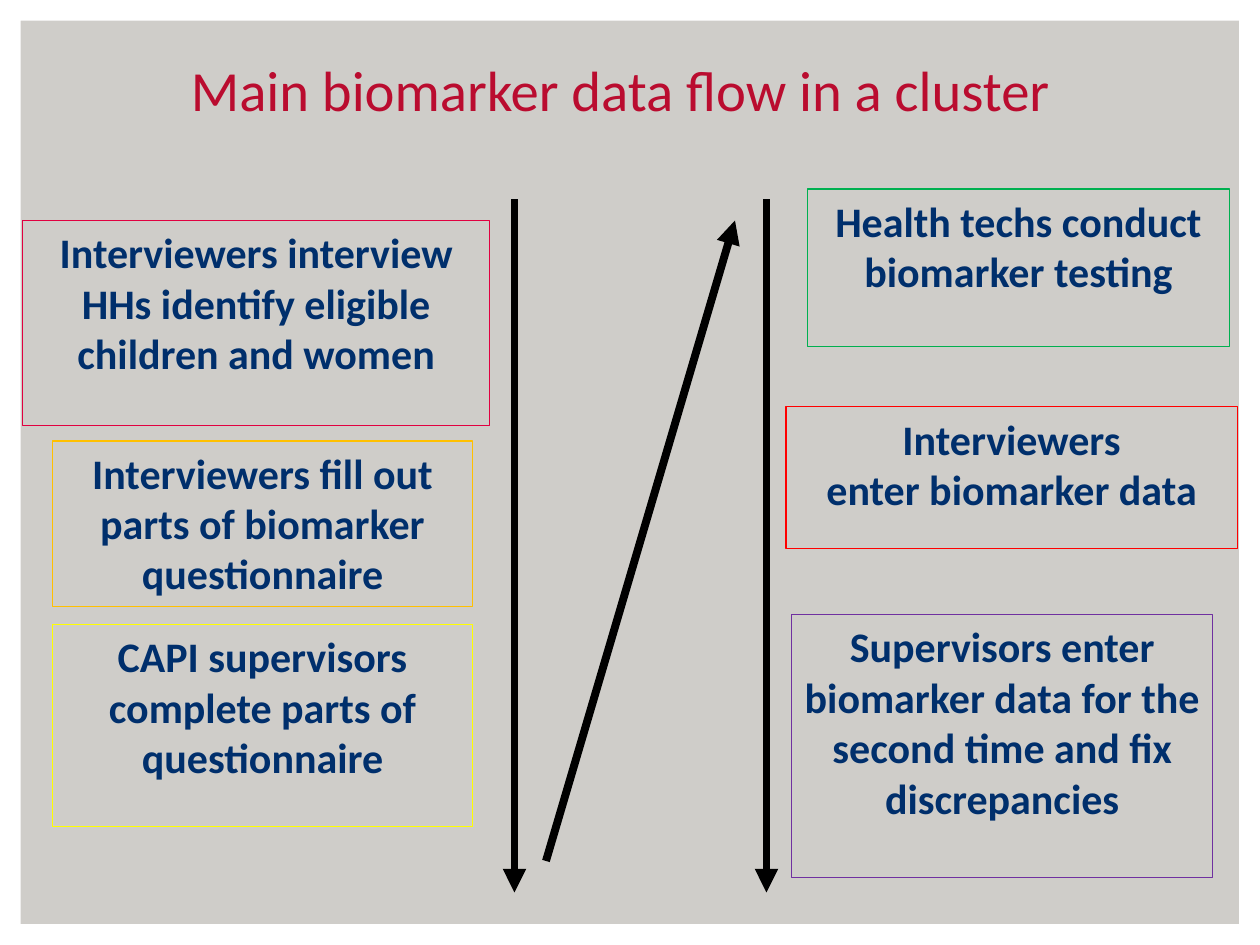
from dataclasses import dataclass

import pptx
import pptx.dml.color
import pptx.enum.shapes
import pptx.enum.text
import pptx.oxml.ns
import pptx.util
from lxml import etree

CELL = pptx.util.Inches(1 / 12)
COLUMNS, ROWS = 120, 90
FONT = "Calibri"
BACKGROUND, WHITE, BLACK = "CFCDC9", "FFFFFF", "000000"
RED, NAVY = "BA0C2F", "002F6C"


@dataclass
class Area:
    """A rectangle in grid columns and rows."""
    left: float
    top: float
    width: float
    height: float

    def lengths(self) -> list[int]:
        return [grid(n) for n in (self.left, self.top, self.width, self.height)]


@dataclass
class Step:
    text: str
    area: Area
    outline: str


@dataclass
class Arrow:
    """Start and end points as (column, row)."""
    start: tuple[float, float]
    end: tuple[float, float]


TITLE = "Main biomarker data flow in a cluster"
TITLE_AREA = Area(17, 4.3, 114, 8)

STEPS = [
    Step("Interviewers interview HHs identify eligible children and women",
         Area(2.15, 21, 44.5, 19.5), "E10040"),
    Step("Interviewers fill out parts of biomarker questionnaire",
         Area(5, 42, 40, 15.75), "FFC000"),
    Step("CAPI supervisors complete parts of questionnaire",
         Area(5, 59.5, 40, 19.25), "FFFF00"),
    Step("Health techs conduct biomarker testing",
         Area(76.9, 18, 40.2, 15), "00B050"),
    Step("Interviewers\nenter biomarker data",
         Area(74.85, 38.75, 43, 13.5), "FF0000"),
    Step("Supervisors enter biomarker data for the second time and fix discrepancies",
         Area(75.4, 58.55, 40.1, 25), "7030A0"),
]

ARROWS = [
    Arrow((49, 19), (49, 85)),
    Arrow((73, 19), (73, 85)),
    Arrow((52, 82), (70, 21)),
]


def grid(count: float) -> int:
    return round(count * CELL)


def color(value: str) -> pptx.dml.color.RGBColor:
    return pptx.dml.color.RGBColor.from_string(value)


def format_text(frame, size: float, ink: str, bold: bool, align) -> None:
    frame.word_wrap = True
    for para in frame.paragraphs:
        para.alignment = align
        for run in para.runs:
            run.font.name = FONT
            run.font.size = pptx.util.Pt(size)
            run.font.bold = bold
            run.font.color.rgb = color(ink)


def add_border(page) -> None:
    border = page.shapes.add_shape(
        pptx.enum.shapes.MSO_SHAPE.FRAME, *Area(0, 0, COLUMNS, ROWS).lengths())
    border.adjustments[0] = 0.022
    border.shadow.inherit = False
    border.fill.solid()
    border.fill.fore_color.rgb = color(WHITE)
    border.line.fill.background()


def add_title(page) -> None:
    box = page.shapes.add_textbox(*TITLE_AREA.lengths())
    frame = box.text_frame
    frame.text = TITLE
    frame.vertical_anchor = pptx.enum.text.MSO_ANCHOR.BOTTOM
    format_text(frame, 32.4, RED, False, pptx.enum.text.PP_ALIGN.LEFT)


def add_step(page, step: Step) -> None:
    box = page.shapes.add_shape(
        pptx.enum.shapes.MSO_SHAPE.RECTANGLE, *step.area.lengths())
    box.shadow.inherit = False
    box.fill.background()
    box.line.color.rgb = color(step.outline)
    box.line.width = pptx.util.Pt(0.75)
    frame = box.text_frame
    frame.text = step.text
    frame.vertical_anchor = pptx.enum.text.MSO_ANCHOR.TOP
    format_text(frame, 24, NAVY, True, pptx.enum.text.PP_ALIGN.CENTER)


def add_arrow(page, arrow: Arrow) -> None:
    connector = page.shapes.add_connector(
        pptx.enum.shapes.MSO_CONNECTOR.STRAIGHT,
        *(grid(n) for n in arrow.start + arrow.end))
    connector.line.color.rgb = color(BLACK)
    connector.line.width = pptx.util.Pt(4.5)
    qn = pptx.oxml.ns.qn
    etree.SubElement(connector.line._get_or_add_ln(), qn("a:tailEnd"), type="triangle")
    etree.SubElement(connector._element.spPr, qn("a:effectLst"))


def main() -> None:
    deck = pptx.Presentation()
    deck.slide_width, deck.slide_height = grid(COLUMNS), grid(ROWS)
    page = deck.slides.add_slide(deck.slide_layouts[6])
    page.background.fill.solid()
    page.background.fill.fore_color.rgb = color(BACKGROUND)
    add_border(page)
    add_title(page)
    for step in STEPS:
        add_step(page, step)
    for arrow in ARROWS:
        add_arrow(page, arrow)
    deck.save("out.pptx")


if __name__ == "__main__":
    main()
